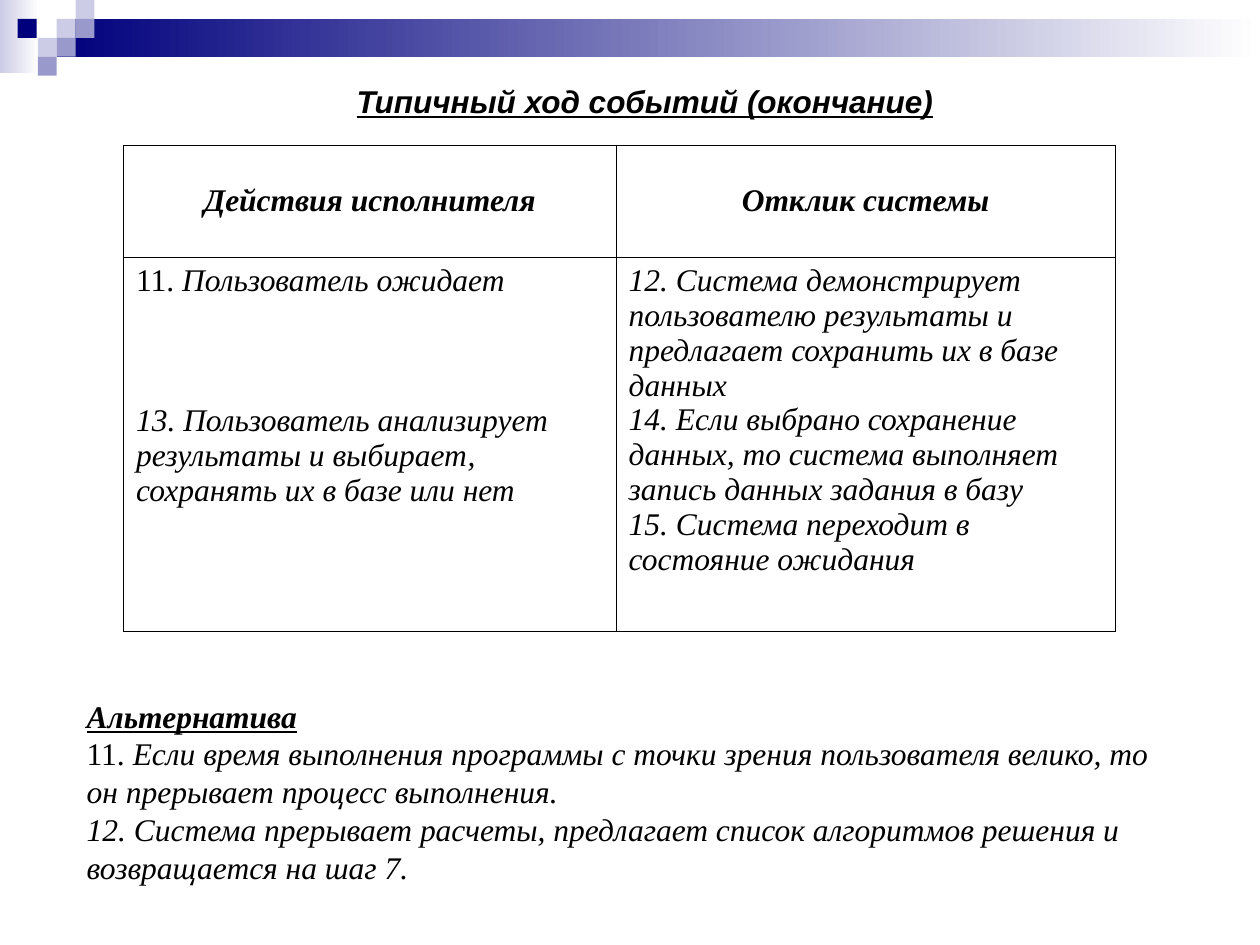
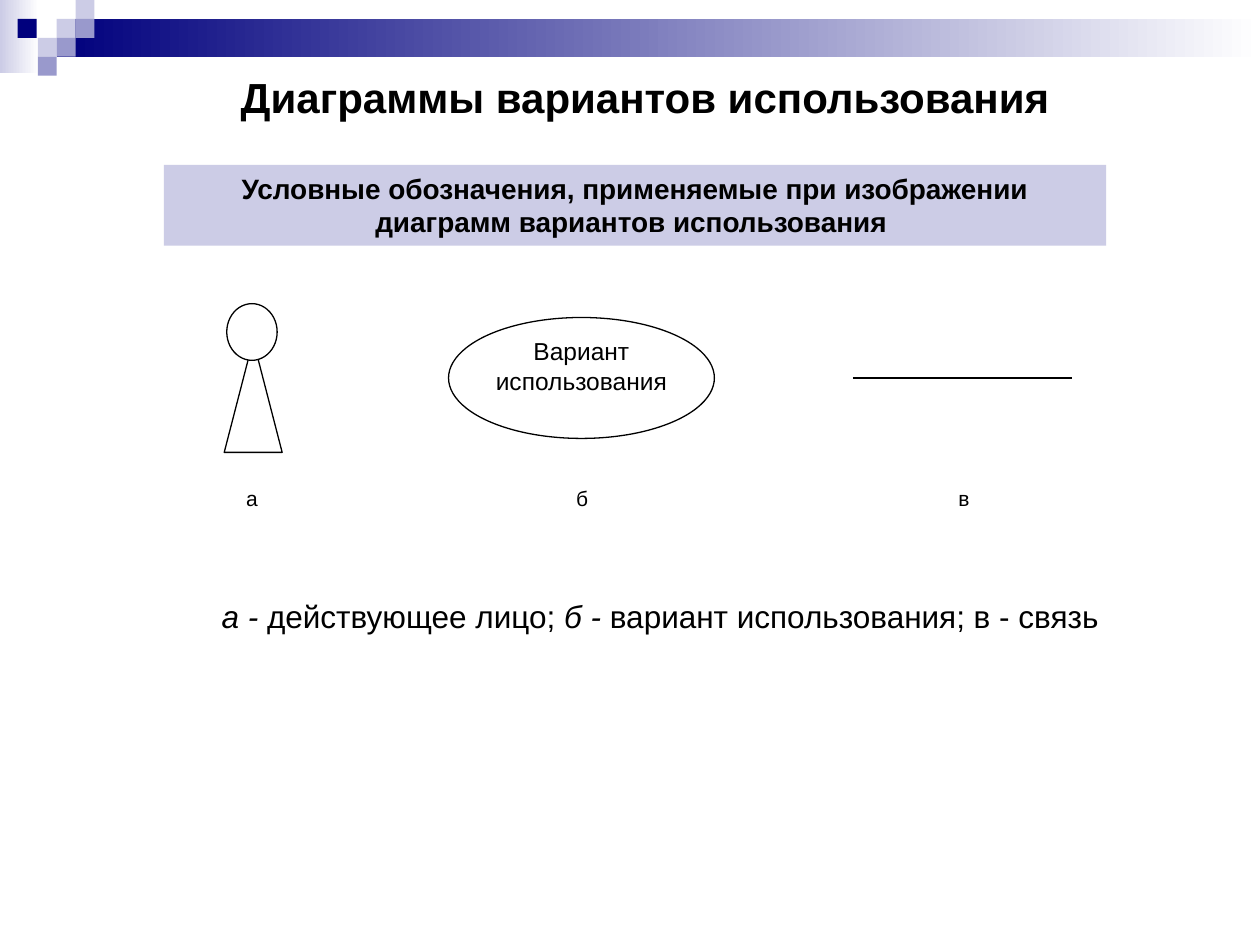
from dataclasses import dataclass

from lxml import etree
from pptx import Presentation
from pptx.dml.color import RGBColor
from pptx.enum.shapes import MSO_CONNECTOR, MSO_SHAPE
from pptx.enum.text import MSO_ANCHOR, PP_ALIGN
from pptx.oxml.ns import qn
from pptx.util import Inches, Pt

RECTANGLE, OVAL = MSO_SHAPE.RECTANGLE, MSO_SHAPE.OVAL
TRIANGLE = MSO_SHAPE.ISOSCELES_TRIANGLE
STRAIGHT = MSO_CONNECTOR.STRAIGHT
LEFT, CENTER = PP_ALIGN.LEFT, PP_ALIGN.CENTER
TOP, MIDDLE = MSO_ANCHOR.TOP, MSO_ANCHOR.MIDDLE


@dataclass(frozen=True)
class Theme:
    white: str = "FFFFFF"
    black: str = "000000"
    navy: str = "00007D"
    violet: str = "9999CC"
    lavender: str = "CCCCE6"
    sans: str = "Arial"
    serif: str = "Times New Roman"
    heading: float = 24
    body: float = 18
    banner: float = 16
    label: float = 14
    caption: float = 12
    line: float = 0.75
    border: float = 0.45


THEME = Theme()


@dataclass(frozen=True)
class Box:
    left: float
    top: float
    width: float
    height: float

    def lengths(self) -> tuple:
        return tuple(Inches(n) for n in (self.left, self.top, self.width, self.height))


@dataclass(frozen=True)
class Style:
    size: float = THEME.body
    font: str = THEME.sans
    bold: bool = False
    align: int = LEFT


@dataclass(frozen=True)
class Piece:
    text: str
    italic: bool = False
    bold: bool = False
    underline: bool = False


@dataclass(frozen=True)
class Line:
    pieces: tuple
    space_before: float = 0


@dataclass(frozen=True)
class Square:
    left: float
    top: float
    color: str


# Checkered corner shared by all slides
SQUARE_SIDE = 0.15
SQUARES = (
    Square(0.45, 0.15, THEME.lavender),
    Square(0.6, 0, THEME.lavender),
    Square(0.6, 0.15, THEME.violet),
    Square(0.3, 0.3, THEME.lavender),
    Square(0.14, 0.15, THEME.navy),
    Square(0.45, 0.3, THEME.violet),
    Square(0.3, 0.45, THEME.violet),
)
GRADIENT_BANDS = (
    (Box(0, 0, 0.31, 0.58), THEME.lavender),
    (Box(0.45, 0.15, 9.55, 0.3), THEME.navy),
)

SERIF = Style(font=THEME.serif)
SERIF_CENTERED = Style(font=THEME.serif, align=CENTER)
SANS_CENTERED = Style(align=CENTER)


def plain(text: str) -> Line:
    return Line((Piece(text),))


def italic(text: str, space_before: float = 0) -> Line:
    return Line((Piece(text, italic=True),), space_before)


def numbered(number: str, text: str) -> Line:
    return Line((Piece(number), Piece(text, italic=True)))


def write(text_frame, lines: tuple, style: Style) -> None:
    text_frame.word_wrap = True
    text_frame.text = "\n".join("" for _ in lines)
    for paragraph, line in zip(text_frame.paragraphs, lines):
        paragraph.alignment = style.align
        paragraph.space_before = Pt(line.space_before)
        for piece in line.pieces:
            run = paragraph.add_run()
            run.text = piece.text
            font = run.font
            font.name, font.size = style.font, Pt(style.size)
            font.bold = style.bold or piece.bold
            font.italic, font.underline = piece.italic, piece.underline
            font.color.rgb = RGBColor.from_string(THEME.black)


def add_text(slide, box: Box, lines: tuple, style: Style) -> None:
    write(slide.shapes.add_textbox(*box.lengths()).text_frame, lines, style)


def add_figure(slide, kind: int, box: Box, fill: str, outlined: bool = False):
    shape = slide.shapes.add_shape(kind, *box.lengths())
    shape.shadow.inherit = False
    shape.fill.solid()
    shape.fill.fore_color.rgb = RGBColor.from_string(fill)
    if outlined:
        shape.line.color.rgb = RGBColor.from_string(THEME.black)
        shape.line.width = Pt(THEME.line)
    else:
        shape.line.fill.background()
    return shape


def set_insets(text_frame, side: float, top: float, bottom: float) -> None:
    text_frame.margin_left = text_frame.margin_right = Inches(side)
    text_frame.margin_top, text_frame.margin_bottom = Inches(top), Inches(bottom)


def add_slide(presentation):
    slide = presentation.slides.add_slide(presentation.slide_layouts[6])
    for box, color in GRADIENT_BANDS:
        band = add_figure(slide, RECTANGLE, box, color)
        band.fill.gradient()
        band.fill.gradient_angle = 0
        for stop, stop_color in zip(band.fill.gradient_stops, (color, THEME.white)):
            stop.color.rgb = RGBColor.from_string(stop_color)
    for square in SQUARES:
        box = Box(square.left, square.top, SQUARE_SIDE, SQUARE_SIDE)
        add_figure(slide, RECTANGLE, box, square.color)
    return slide


def set_borders(cell) -> None:
    properties = cell._tc.get_or_add_tcPr()
    for index, side in enumerate(("a:lnL", "a:lnR", "a:lnT", "a:lnB")):
        border = etree.Element(qn(side), w=str(Pt(THEME.border)))
        fill = etree.SubElement(border, qn("a:solidFill"))
        etree.SubElement(fill, qn("a:srgbClr"), val=THEME.black)
        properties.insert(index, border)


def add_events_table(slide) -> None:
    column_widths, row_heights = (3.91, 3.96), (0.89, 2.97)
    box = Box(0.98, 1.15, sum(column_widths), sum(row_heights))
    headers = ("Действия исполнителя", "Отклик системы")
    actions = (
        numbered("11. ", "Пользователь ожидает"),
        italic("13. Пользователь анализирует результаты и выбирает, "
               "сохранять их в базе или нет", space_before=60),
    )
    responses = (
        italic("12. Система демонстрирует пользователю результаты и "
               "предлагает сохранить их в базе данных"),
        italic("14. Если выбрано сохранение данных, то система выполняет "
               "запись данных задания в базу"),
        italic("15. Система переходит в состояние ожидания"),
    )
    rows = (
        tuple((Line((Piece(header, italic=True, bold=True),)),) for header in headers),
        (actions, responses),
    )
    table = slide.shapes.add_table(2, 2, *box.lengths()).table
    table.first_row = table.horz_banding = False
    for column, width in zip(table.columns, column_widths):
        column.width = Inches(width)
    for row, height, contents in zip(table.rows, row_heights, rows):
        row.height = Inches(height)
        is_header = contents is rows[0]
        for cell, lines in zip(row.cells, contents):
            cell.fill.solid()
            cell.fill.fore_color.rgb = RGBColor.from_string(THEME.white)
            cell.vertical_anchor = MIDDLE if is_header else TOP
            write(cell.text_frame, lines, SERIF_CENTERED if is_header else SERIF)
            set_borders(cell)


def build_events_slide(presentation) -> None:
    slide = add_slide(presentation)
    add_events_table(slide)
    title = Piece("Типичный ход событий (окончание)", True, True, True)
    add_text(slide, Box(2.48, 0.6, 5.28, 0.4), (Line((title,)),), SANS_CENTERED)
    alternative = (
        Line((Piece("Альтернатива", True, True, True),)),
        numbered("11. ", "Если время выполнения программы с точки зрения "
                         "пользователя велико, то он прерывает процесс выполнения."),
        italic("12. Система прерывает расчеты, предлагает список алгоритмов "
               "решения и возвращается на шаг 7."),
    )
    add_text(slide, Box(0.59, 5.48, 8.66, 1.6), alternative, SERIF)


def build_notation_slide(presentation) -> None:
    slide = add_slide(presentation)
    add_text(slide, Box(0.83, 0.52, 8.58, 0.5),
             (plain("Диаграммы вариантов использования"),),
             Style(THEME.heading, bold=True, align=CENTER))

    # Subtitle banner
    banner = add_figure(slide, RECTANGLE, Box(1.3, 1.31, 7.48, 0.64), THEME.lavender)
    banner.text_frame.vertical_anchor = TOP
    write(banner.text_frame,
          (plain("Условные обозначения, применяемые при изображении "
                 "диаграмм вариантов использования "),),
          Style(THEME.banner, bold=True, align=CENTER))

    # Actor: the head covers the tip of the body
    add_figure(slide, TRIANGLE, Box(1.78, 2.7, 0.46, 0.89), THEME.white, True)
    add_figure(slide, OVAL, Box(1.8, 2.41, 0.4, 0.45), THEME.white, True)

    # Use case
    use_case = add_figure(slide, OVAL, Box(3.56, 2.52, 2.11, 0.96), THEME.white, True)
    use_case.text_frame.vertical_anchor = TOP
    set_insets(use_case.text_frame, 0, 0.01, 0.01)
    write(use_case.text_frame, (plain("Вариант"), plain("использования")),
          Style(THEME.label, align=CENTER))

    # Association
    link = slide.shapes.add_connector(
        STRAIGHT, Inches(6.77), Inches(3), Inches(8.51), Inches(3))
    link.line.color.rgb = RGBColor.from_string(THEME.black)
    link.line.width = Pt(THEME.line)
    etree.SubElement(link._element.spPr, qn("a:effectLst"))

    # Letter captions under the symbols
    caption_width = 0.47
    for letter, center in (("а", 2), ("б", 4.62), ("в", 7.65)):
        box = Box(center - caption_width / 2, 3.85, caption_width, 0.45)
        caption = slide.shapes.add_textbox(*box.lengths())
        set_insets(caption.text_frame, 0.02, 0, 0.01)
        write(caption.text_frame, (plain(letter),), Style(THEME.caption, align=CENTER))

    # Key to the letters
    key = Line((Piece("а - ", italic=True), Piece("действующее лицо; "),
                Piece("б - ", italic=True), Piece("вариант использования; в - связь")))
    add_text(slide, Box(1.46, 4.69, 7.56, 0.4), (key,), SANS_CENTERED)


def main() -> None:
    presentation = Presentation()
    presentation.slide_width, presentation.slide_height = Inches(10), Inches(7.5)
    build_events_slide(presentation)
    build_notation_slide(presentation)
    presentation.save("out.pptx")


if __name__ == "__main__":
    main()
